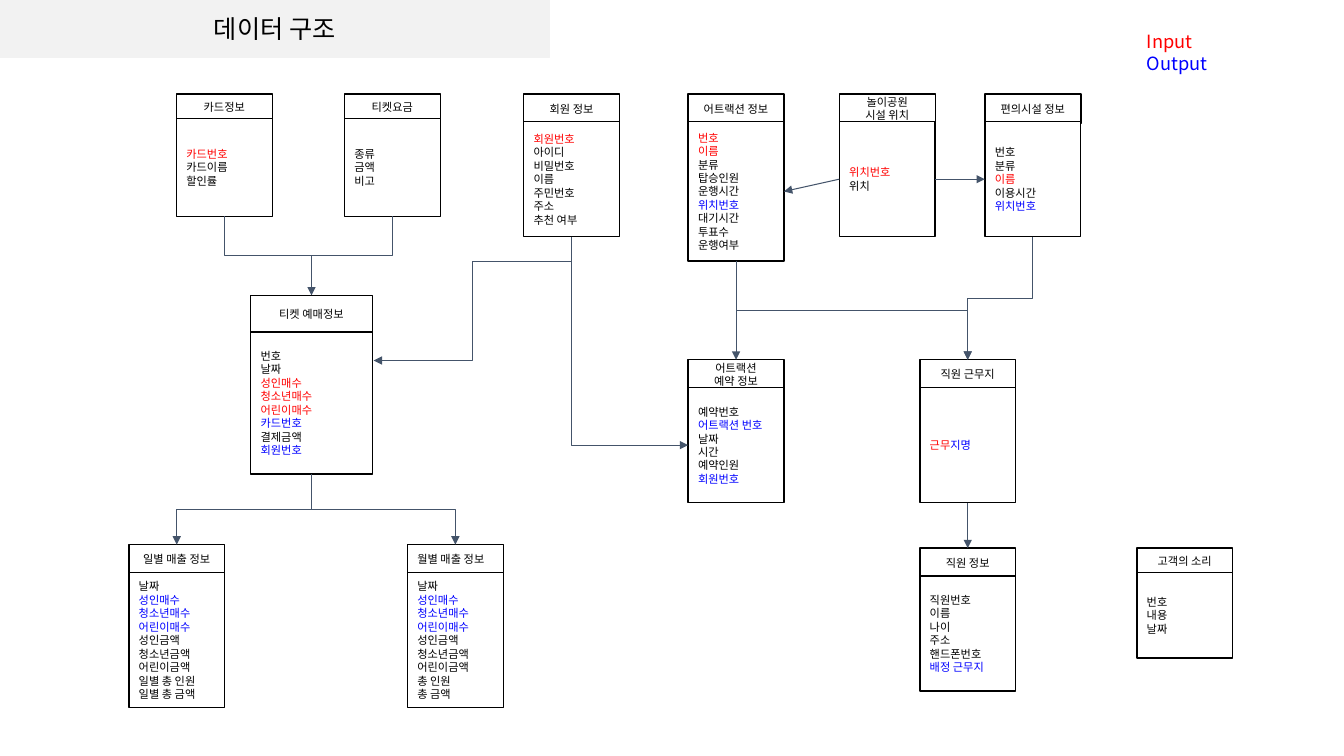
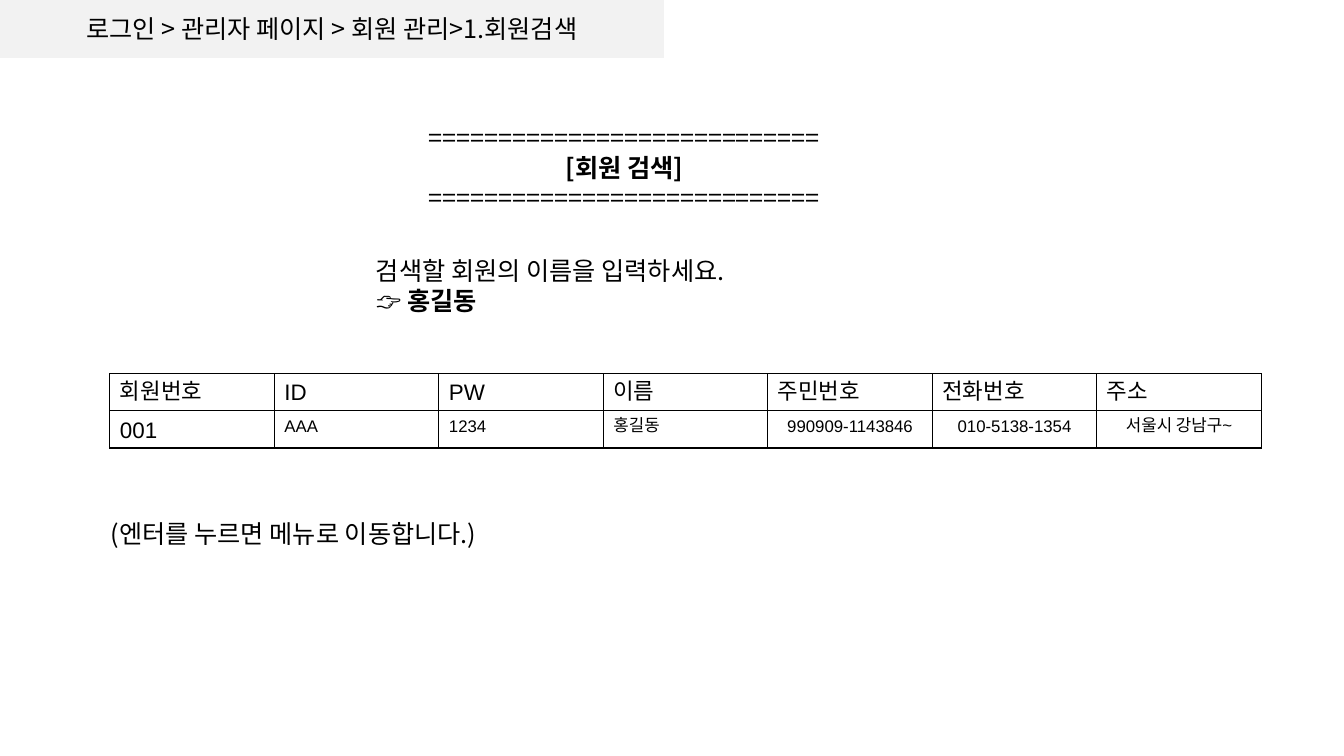
"""Build two slides: a park data structure diagram and a member search screen."""
from lxml import etree
from pptx import Presentation
from pptx.dml.color import RGBColor
from pptx.enum.shapes import MSO_CONNECTOR, MSO_SHAPE
from pptx.enum.text import MSO_ANCHOR, MSO_AUTO_SIZE, PP_ALIGN
from pptx.oxml.ns import qn
from pptx.util import Pt

COLORS = {
    "text": "000000", "input": "FF0000", "output": "0000FF",
    "paper": "FFFFFF", "band": "F2F2F2", "link": "44546A",
}
KOREAN, LATIN = "Noto Sans CJK KR", "Arial"
LEFT, CENTER = PP_ALIGN.LEFT, PP_ALIGN.CENTER
MIDDLE, NO_FIT = MSO_ANCHOR.MIDDLE, MSO_AUTO_SIZE.NONE
PROCESS, RECT = MSO_SHAPE.FLOWCHART_PROCESS, MSO_SHAPE.RECTANGLE
STRAIGHT, ELBOW = MSO_CONNECTOR.STRAIGHT, MSO_CONNECTOR.ELBOW
TITLE_ONLY = 5
TOP_SITE, LEFT_SITE, BOTTOM_SITE, RIGHT_SITE = range(4)
ROW_1, ROW_2, ROW_3 = 67, 257, 389
BOX_W, HEAD_H, LOW_HEAD_H = 68.5, 21, 18.5

# name: (left, top, body height, title, [(colour, fields)], options)
ENTITIES = {
    "card": (126, ROW_1, 70, "카드정보",
             [("input", ["카드번호"]), ("text", ["카드이름", "할인률"])],
             {"head_h": LOW_HEAD_H}),
    "fare": (246, ROW_1, 70, "티켓요금",
             [("text", ["종류", "금액", "비고"])], {"head_h": LOW_HEAD_H}),
    "member": (374, ROW_1, 82, "회원 정보",
               [("input", ["회원번호"]),
                ("text", ["아이디", "비밀번호", "이름", "주민번호", "주소", "추천 여부"])], {}),
    "ride": (491.5, ROW_1, 99.5, "어트랙션 정보",
             [("input", ["번호", "이름"]), ("text", ["분류", "탑승인원", "운행시간"]),
              ("output", ["위치번호"]), ("text", ["대기시간", "투표수", "운행여부"])], {}),
    "place": (599.5, ROW_1, 82, "놀이공원\n시설 위치",
              [("input", ["위치번호"]), ("text", ["위치"])], {}),
    "facility": (703.5, ROW_1, 82, "편의시설 정보",
                 [("text", ["번호", "분류"]), ("input", ["이름"]),
                  ("text", ["이용시간"]), ("output", ["위치번호"])], {}),
    "ticket": (179, 211, 101.5, "티켓 예매정보",
               [("text", ["번호", "날짜"]),
                ("input", ["성인매수", "청소년매수", "어린이매수"]),
                ("output", ["카드번호"]), ("text", ["결제금액"]),
                ("output", ["회원번호"])], {"head_h": 27, "width": 87}),
    "booking": (491.5, ROW_2, 82, "어트랙션\n예약 정보",
                [("text", ["예약번호"]), ("output", ["어트랙션 번호"]),
                 ("text", ["날짜", "시간", "예약인원"]), ("output", ["회원번호"])], {}),
    "workplace": (657, ROW_2, 82, "직원 근무지", [("input", ["근무"])], {}),
    "daily": (92, ROW_3, 96.5, "일별 매출 정보",
              [("text", ["날짜"]), ("output", ["성인매수", "청소년매수", "어린이매수"]),
               ("text", ["성인금액", "청소년금액", "어린이금액", "일별 총 인원", "일별 총 금액"])], {}),
    "monthly": (291, ROW_3, 96.5, "월별 매출 정보",
                [("text", ["날짜"]), ("output", ["성인매수", "청소년매수", "어린이매수"]),
                 ("text", ["성인금액", "청소년금액", "어린이금액", "총 인원", "총 금액"])],
                {"head_align": LEFT}),
    "staff": (657, 391.5, 82, "직원 정보",
              [("text", ["직원번호", "이름", "나이", "주소", "핸드폰번호"]),
               ("output", ["배정 근무지"])], {}),
    "voice": (812, 391.5, 61, "고객의 소리",
              [("text", ["번호", "내용", "날짜"])], {"head_h": LOW_HEAD_H}),
}
SIDE_LINKS = [("place", LEFT_SITE, "ride", RIGHT_SITE),
              ("place", RIGHT_SITE, "facility", LEFT_SITE)]
DOWN_LINKS = [("ride", "booking"), ("workplace", "staff")]
BRANCHES = [("card", "ticket"), ("fare", "ticket"), ("ticket", "daily"),
            ("ticket", "monthly"), ("facility", "workplace"), ("ride", "workplace")]

MEMBER_ROWS = [
    ["회원번호", "ID", "PW", "이름", "주민번호", "전화번호", "주소"],
    ["001", "AAA", "1234", "홍길동", "990909-1143846", "010-5138-1354", "서울시 강남구~"],
]


def rgb(name):
    """Return the named colour."""
    return RGBColor.from_string(COLORS[name])


def write(tf, lines, size, align=LEFT, latin=KOREAN):
    """Write (text, colour, bold) lines as paragraphs of a text frame."""
    tf.word_wrap = True
    for i, (text, color, bold) in enumerate(lines):
        p = tf.paragraphs[0] if i == 0 else tf.add_paragraph()
        p.text = text
        p.alignment = align
        p.line_spacing = Pt(size * 1.2)
        font = p.font
        font.size, font.bold, font.name = Pt(size), bold, latin
        font.color.rgb = rgb(color)
        etree.SubElement(font._rPr, qn("a:ea")).set("typeface", KOREAN)


def paint(sp, fill, line):
    """Give a shape a flat fill and a one-point line."""
    sp.fill.solid()
    sp.fill.fore_color.rgb = rgb(fill)
    sp.line.color.rgb = rgb(line)
    sp.line.width = Pt(1)


def add_titled_slide(prs, title, width):
    """Add a slide whose title sits in a grey band at the top left."""
    s = prs.slides.add_slide(prs.slide_layouts[TITLE_ONLY])
    sp = s.shapes.title
    sp.left, sp.top, sp.width, sp.height = Pt(0), Pt(0), Pt(width), Pt(41)
    paint(sp, "band", "band")
    tf = sp.text_frame
    tf.auto_size, tf.vertical_anchor = NO_FIT, MIDDLE
    write(tf, [(title, "text", False)], 18, CENTER)
    return s


def add_text(s, left, top, width, height, lines, size=18, align=LEFT):
    """Add a text box."""
    sp = s.shapes.add_textbox(Pt(left), Pt(top), Pt(width), Pt(height))
    write(sp.text_frame, lines, size, align)


def add_box(s, kind, left, top, width, height, lines, align=LEFT):
    """Add an outlined white box with small text."""
    sp = s.shapes.add_shape(kind, Pt(left), Pt(top), Pt(width), Pt(height))
    sp.shadow.inherit = False
    paint(sp, "paper", "text")
    sp.text_frame.vertical_anchor = MIDDLE
    write(sp.text_frame, lines, 8, align)
    return sp


def add_entity(s, left, top, body_h, title, groups,
               head_h=HEAD_H, width=BOX_W, head_align=CENTER):
    """Add an entity and return its header and body boxes."""
    heading = [(text, "text", False) for text in title.split("\n")]
    fields = [(text, color, False) for color, names in groups for text in names]
    head = add_box(s, PROCESS, left, top, width, head_h, heading, head_align)
    body = add_box(s, RECT, left, top + head_h - 1, width, body_h, fields)
    return head, body


def add_link(s, kind, start=None, end=None, points=(0, 0, 0, 0), arrow=True):
    """Add a connector between (shape, site) pairs or fixed points."""
    c = s.shapes.add_connector(kind, *map(Pt, points))
    if start:
        c.begin_connect(*start)
    if end:
        c.end_connect(*end)
    c.line.color.rgb = rgb("link")
    c.line.width = Pt(0.75)
    if arrow:
        etree.SubElement(c.line._get_or_add_ln(), qn("a:tailEnd")).set("type", "triangle")
    etree.SubElement(c._element.spPr, qn("a:effectLst"))
    return c


def leave_downward(c, preset="bentConnector3"):
    """Turn an elbow connector so that it leaves its start downward."""
    dx, dy = c.end_x - c.begin_x, c.end_y - c.begin_y
    mid_x, mid_y = c.begin_x + dx // 2, c.begin_y + dy // 2
    c.left, c.top = mid_x - abs(dy) // 2, mid_y - abs(dx) // 2
    c.width, c.height = abs(dy), abs(dx)
    xfrm = c._element.spPr.find(qn("a:xfrm"))
    xfrm.set("rot", "16200000" if dx > 0 else "5400000")
    xfrm.set("flipH", "1" if dx > 0 else "0")
    xfrm.set("flipV", "0")
    c._element.spPr.find(qn("a:prstGeom")).set("prst", preset)


def set_borders(cell):
    """Draw a one-point line on each side of a cell."""
    tc_pr = cell._tc.get_or_add_tcPr()
    for side in ("lnL", "lnR", "lnT", "lnB"):
        ln = etree.SubElement(tc_pr, qn(f"a:{side}"), w=str(Pt(1)))
        fill = etree.SubElement(ln, qn("a:solidFill"))
        etree.SubElement(fill, qn("a:srgbClr"), val=COLORS["text"])


def add_grid(s, left, top, col_w, row_h, rows):
    """Add a plain ruled table of members."""
    n_cols = len(rows[0])
    table = s.shapes.add_table(len(rows), n_cols, Pt(left), Pt(top),
                               Pt(col_w * n_cols), Pt(row_h * len(rows))).table
    table.first_row = table.horz_banding = False
    for col in table.columns:
        col.width = Pt(col_w)
    for i, row in enumerate(rows):
        table.rows[i].height = Pt(row_h)
        for j, text in enumerate(row):
            cell = table.cell(i, j)
            set_borders(cell)
            cell.fill.background()
            size = 12 if i and j else 16
            align = CENTER if i and j > 3 else LEFT
            write(cell.text_frame, [(text, "text", False)], size, align, LATIN)


def build_data_structure(prs):
    """Build the entity diagram."""
    s = add_titled_slide(prs, "데이터 구조", 392.5)
    heads, bodies = {}, {}
    for name, (*spec_values, options) in ENTITIES.items():
        heads[name], bodies[name] = add_entity(s, *spec_values, **options)
    r = bodies["workplace"].text_frame.paragraphs[0].add_run()
    r.text = "지명"
    r.font.color.rgb = rgb("output")

    for start, site, end, end_site in SIDE_LINKS:
        add_link(s, STRAIGHT, (bodies[start], site), (bodies[end], end_site))
    for start, end in DOWN_LINKS:
        add_link(s, STRAIGHT, (bodies[start], BOTTOM_SITE), (heads[end], TOP_SITE))
    for start, end in BRANCHES:
        leave_downward(add_link(s, ELBOW, (bodies[start], BOTTOM_SITE),
                                (heads[end], TOP_SITE), arrow=start != "card"))
    leave_downward(add_link(s, ELBOW, (bodies["member"], BOTTOM_SITE),
                            (bodies["booking"], LEFT_SITE)), "bentConnector2")
    add_link(s, ELBOW, points=(408.5, 186.5, 267, 257.5))
    add_text(s, 812, 18, BOX_W, 42,
             [("Input", "input", False), ("Output", "output", False)], 13)


def build_member_search(prs):
    """Build the member search screen."""
    s = add_titled_slide(prs, "로그인 > 관리자 페이지 > 회원 관리>1.회원검색", 474)
    rule = ("=" * 28, "text", False)
    add_text(s, 193, 83.5, 506, 72, [rule, ("[회원 검색]", "text", True), rule], align=CENTER)
    add_text(s, 261.5, 178.5, 307, 51,
             [("검색할 회원의 이름을 입력하세요.", "text", False), ("👉 홍길동", "text", True)])
    add_grid(s, 78.5, 267, 117.5, 26.5, MEMBER_ROWS)
    add_text(s, 72, 367, 414, 29, [("(엔터를 누르면 메뉴로 이동합니다.)", "text", False)])


def main():
    """Build and save the presentation."""
    prs = Presentation()
    prs.slide_width, prs.slide_height = Pt(960), Pt(540)
    build_data_structure(prs)
    build_member_search(prs)
    prs.save("out.pptx")


if __name__ == "__main__":
    main()
